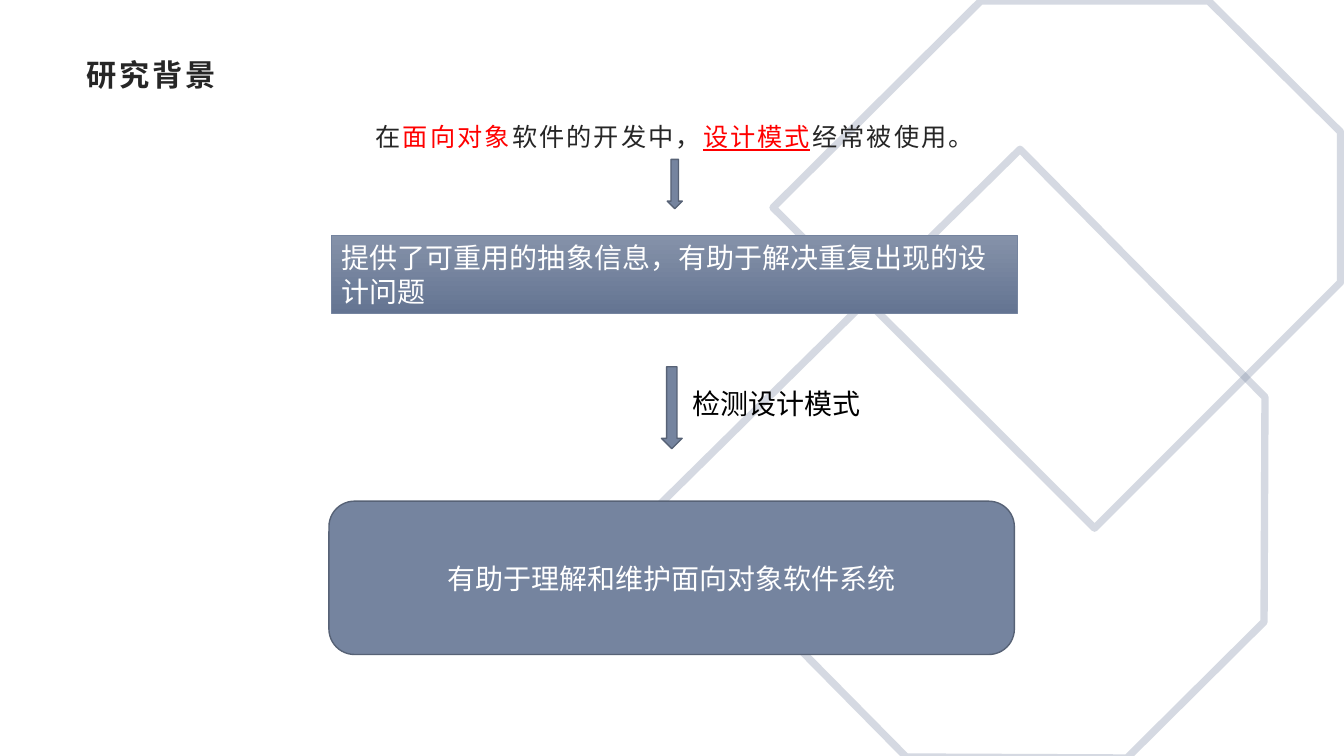
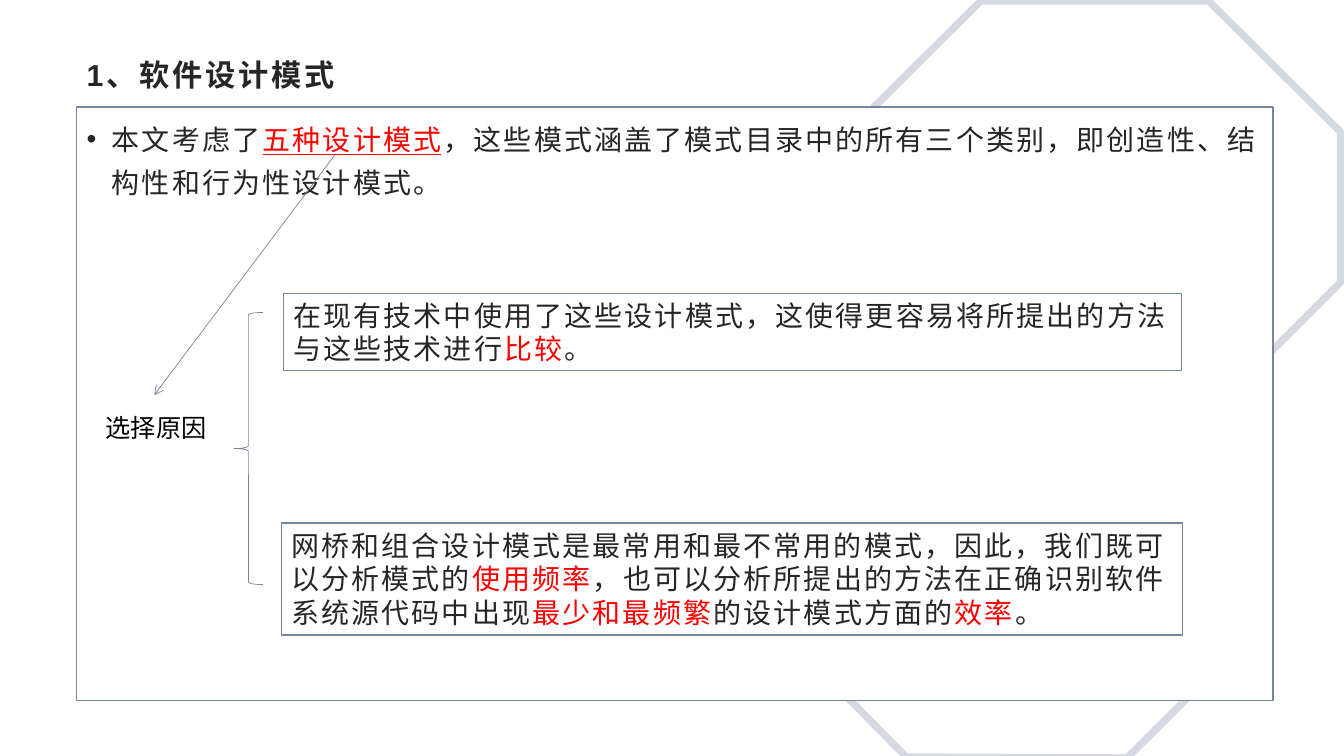
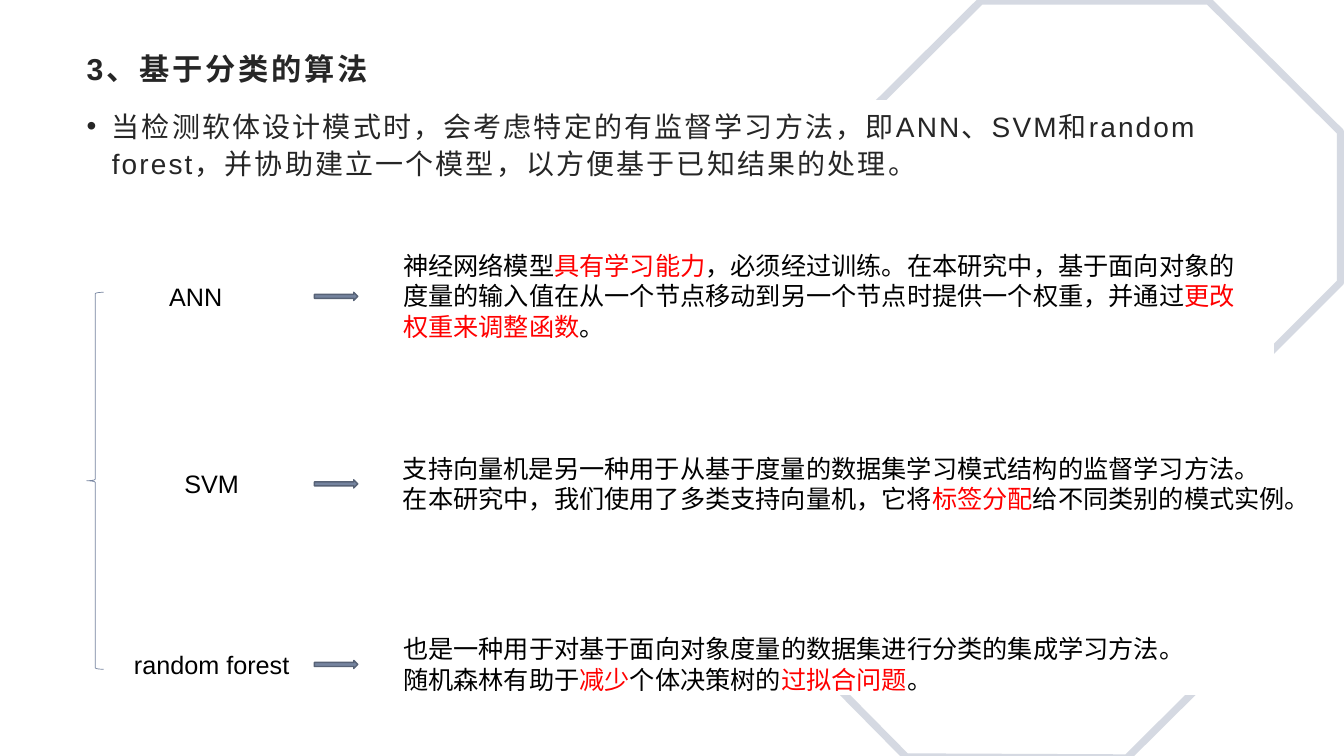
from pptx import Presentation
from pptx.dml.color import RGBColor
from pptx.enum.shapes import MSO_CONNECTOR, MSO_SHAPE
from pptx.enum.text import MSO_ANCHOR, MSO_AUTO_SIZE, PP_ALIGN
from pptx.oxml.ns import qn
from pptx.util import Pt
from lxml.etree import SubElement

INK = RGBColor(0x26, 0x26, 0x26)
BLACK = RGBColor(0, 0, 0)
RED = RGBColor(0xFF, 0, 0)
WHITE = RGBColor(0xFF, 0xFF, 0xFF)
SLATE = RGBColor(0x75, 0x84, 0x9F)
EDGE = RGBColor(0x57, 0x62, 0x76)
LIGHT = RGBColor(0x85, 0x92, 0xA9)
DEEP = RGBColor(0x64, 0x74, 0x92)

LATIN, HAN = "Arial", "Noto Sans CJK SC"
LEFT, WIDE = 54.7, 854.6

RINGS = [
    [(863.3, 0.7), (700.6, 0.7), (552.2, 148.3), (781.9, 377.3), (957.6, 201.6), (957.6, 94.3)],
    [(470.2, 361.4), (647.3, 540.7), (805, 541.4), (902.9, 444.2), (903.6, 283.7), (728.6, 106.6)],
]

# "|" switches between plain and red text; "_" underlines a red part.
PAGES = [
    dict(title="研究背景", top=36, space=1.3, bullet=False, fill=None, line=None,
         body="在|面向对象|软件的开发中，|_设计模式|经常被使用。"),
    dict(title="1、软件设计模式", top=36, space=1.3, bullet=True, fill=WHITE, line=SLATE,
         body="本文考虑了|_五种设计模式|，这些模式涵盖了模式目录中的所有三个类别，"
              "即创造性、结构性和行为性设计模式。"),
    dict(title="3、基于分类的算法", top=31.7, space=1.1, bullet=True, fill=WHITE, line=WHITE,
         body="当检测软体设计模式时，会考虑特定的有监督学习方法，即ANN、SVM和random forest，"
              "并协助建立一个模型，以方便基于已知结果的处理。"),
]

REUSE = "提供了可重用的抽象信息，有助于解决重复出现的设计问题"
DETECT = "检测设计模式"
UPKEEP = "有助于理解和维护面向对象软件系统"

CAUSE = "选择原因"
CAUSES = [
    ((202.3, 209.5, 641.5, 55.4),
     "在现有技术中使用了这些设计模式，这使得更容易将所提出的方法与这些技术进行|比较|。"),
    ((201, 373.7, 643.7, 79.9),
     "网桥和组合设计模式是最常用和最不常用的模式，因此，我们既可以分析模式的|使用频率|"
     "，也可以分析所提出的方法在正确识别软件系统源代码中出现|最少和最频繁|的设计模式方面的|效率|。"),
]

METHODS = [
    ("ANN", 113.8, 52.6, 211.7, 615.6, 72.7, True,
     ["神经网络模型|具有学习能力|，必须经过训练。在本研究中，基于面向对象的度量的输入值在从"
      "一个节点移动到另一个节点时提供一个权重，并通过|更改权重来调整函数|。"]),
    ("SVM", 124.6, 53.3, 345.6, 662.4, 51.1, False,
     ["支持向量机是另一种用于从基于度量的数据集学习模式结构的监督学习方法。",
      "在本研究中，我们使用了多类支持向量机，它将|标签分配|给不同类别的模式实例。"]),
    ("random forest", 88.6, 125.3, 474.6, 572.4, 51.1, False,
     ["也是一种用于对基于面向对象度量的数据集进行分类的集成学习方法。",
      "随机森林有助于|减少|个体决策树的|过拟合问题|。"]),
]


def place(shape, box):
    shape.left, shape.top, shape.width, shape.height = map(Pt, box)


def write(frame, lines, size, color=BLACK, align=PP_ALIGN.LEFT, gap=0, bold=None,
          anchor=MSO_ANCHOR.TOP, wrap=True, latin=LATIN):
    frame.word_wrap = wrap
    frame.auto_size = MSO_AUTO_SIZE.NONE
    frame.vertical_anchor = anchor
    for num, line in enumerate(lines):
        para = frame.add_paragraph() if num else frame.paragraphs[0]
        para.alignment = align
        para.font.size, para.font.name, para.font.bold = Pt(size), latin, bold
        base = para._p.get_or_add_pPr().find(qn("a:defRPr"))
        base.set("spc", str(int(gap * 100)))
        SubElement(base, qn("a:ea"), typeface=HAN)
        for part, text in enumerate(line.split("|")):
            run = para.add_run()
            run.text = text.lstrip("_")
            run.font.color.rgb = RED if part % 2 else color
            if text.startswith("_"):
                run.font.underline = True


def paint(shape, fill, line, width=1):
    if fill is None:
        shape.fill.background()
    else:
        shape.fill.solid()
        shape.fill.fore_color.rgb = fill
    if line is not None:
        shape.line.color.rgb = line
        shape.line.width = Pt(width)


def draw(slide, kind, box, fill=SLATE, line=EDGE, width=1):
    shape = slide.shapes.add_shape(kind, *map(Pt, box))
    shape.shadow.inherit = False
    paint(shape, fill, line, width)
    return shape


def label(slide, box, lines, size=18, wrap=False):
    write(slide.shapes.add_textbox(*map(Pt, box)).text_frame, lines, size, wrap=wrap)


def add_rings(slide, layout):
    for (x, y), *rest in RINGS:
        pen = slide.shapes.build_freeform(Pt(x), Pt(y))
        pen.add_line_segments([(Pt(a), Pt(b)) for a, b in rest])
        ring = pen.convert_to_shape()
        ring.shadow.inherit = False
        paint(ring, None, SLATE, 5.25)
        tint = ring.line._ln.find(".//" + qn("a:srgbClr"))
        SubElement(tint, qn("a:alpha"), val="30000")
        layout.shapes.element.append(ring.element)


def add_page(deck, layout, page):
    slide = deck.slides.add_slide(layout)
    title, body = slide.shapes.title, slide.placeholders[1]
    place(title, (LEFT, page["top"], WIDE, 34.6))
    write(title.text_frame, [page["title"]], 21.6, INK, gap=2, bold=True,
          anchor=MSO_ANCHOR.MIDDLE)
    place(body, (LEFT, page["top"] + 40.4, WIDE, 424))
    paint(body, page["fill"], page["line"])
    listed = page["bullet"]
    write(body.text_frame, [page["body"]], 20 if listed else 18, INK, gap=1.5,
          align=PP_ALIGN.LEFT if listed else PP_ALIGN.CENTER)
    para = body.text_frame.paragraphs[0]
    para.line_spacing = page["space"]
    para.space_before, para.space_after = Pt(0), Pt(10)
    props = para._p.get_or_add_pPr()
    props.set("marL", str(Pt(18 if listed else 0)))
    props.set("indent", str(Pt(-18 if listed else 0)))
    if not listed:
        props.find(qn("a:defRPr")).addprevious(props.makeelement(qn("a:buNone"), {}))
    return slide


def add_flow(slide):
    draw(slide, MSO_SHAPE.DOWN_ARROW, (476.6, 113.8, 10.8, 35.3))
    reuse = draw(slide, MSO_SHAPE.RECTANGLE, (237, 168.5, 489.6, 55.4), line=SLATE, width=0.5)
    reuse.fill.gradient()
    reuse.fill.gradient_angle = 270
    for stop, shade, spot in zip(reuse.fill.gradient_stops, (LIGHT, DEEP), (0, 1)):
        stop.color.rgb, stop.position = shade, spot
    write(reuse.text_frame, [REUSE], 20, WHITE, latin=HAN)
    draw(slide, MSO_SHAPE.DOWN_ARROW, (472.5, 262, 14.8, 58.5))
    label(slide, (487.4, 272.2, 136.8, 31.7), [DETECT], 20, True)
    upkeep = draw(slide, MSO_SHAPE.ROUNDED_RECTANGLE, (235, 358, 489.6, 109.5))
    write(upkeep.text_frame, [UPKEEP], 20, WHITE, PP_ALIGN.CENTER, anchor=MSO_ANCHOR.MIDDLE)


def add_causes(slide):
    link = slide.shapes.add_connector(MSO_CONNECTOR.STRAIGHT, *map(Pt, (239, 110.9, 110.2, 282.2)))
    link.line.color.rgb, link.line.width = SLATE, Pt(0.5)
    SubElement(link.line._ln, qn("a:tailEnd"), type="arrow")
    SubElement(link.element.spPr, qn("a:effectLst"))
    label(slide, (68.4, 290.9, 86.4, 28.8), [CAUSE])
    draw(slide, MSO_SHAPE.LEFT_BRACE, (167, 223.2, 20.9, 194.4), None, SLATE, 0.5)
    for box, text in CAUSES:
        card = draw(slide, MSO_SHAPE.RECTANGLE, box, WHITE, SLATE)
        write(card.text_frame, [text], 20, INK, gap=1.5)


def add_methods(slide):
    draw(slide, MSO_SHAPE.LEFT_BRACE, (61.9, 208.8, 12.2, 269.3), None, SLATE, 0.5)
    for name, left, width, mid, span, tall, wrap, lines in METHODS:
        label(slide, (left, mid - 14.4, width, 28.8), [name])
        draw(slide, MSO_SHAPE.RIGHT_ARROW, (224.6, mid - 2.9, 31, 5.8))
        label(slide, (280.8, mid - tall / 2, span, tall), lines, wrap=wrap)


def main():
    deck = Presentation()
    deck.slide_width, deck.slide_height = Pt(960), Pt(540)
    layout = deck.slide_layouts[1]
    slides = [add_page(deck, layout, page) for page in PAGES]
    add_rings(slides[0], layout)
    for fill, slide in zip((add_flow, add_causes, add_methods), slides):
        fill(slide)
    deck.save("out.pptx")


if __name__ == "__main__":
    main()
